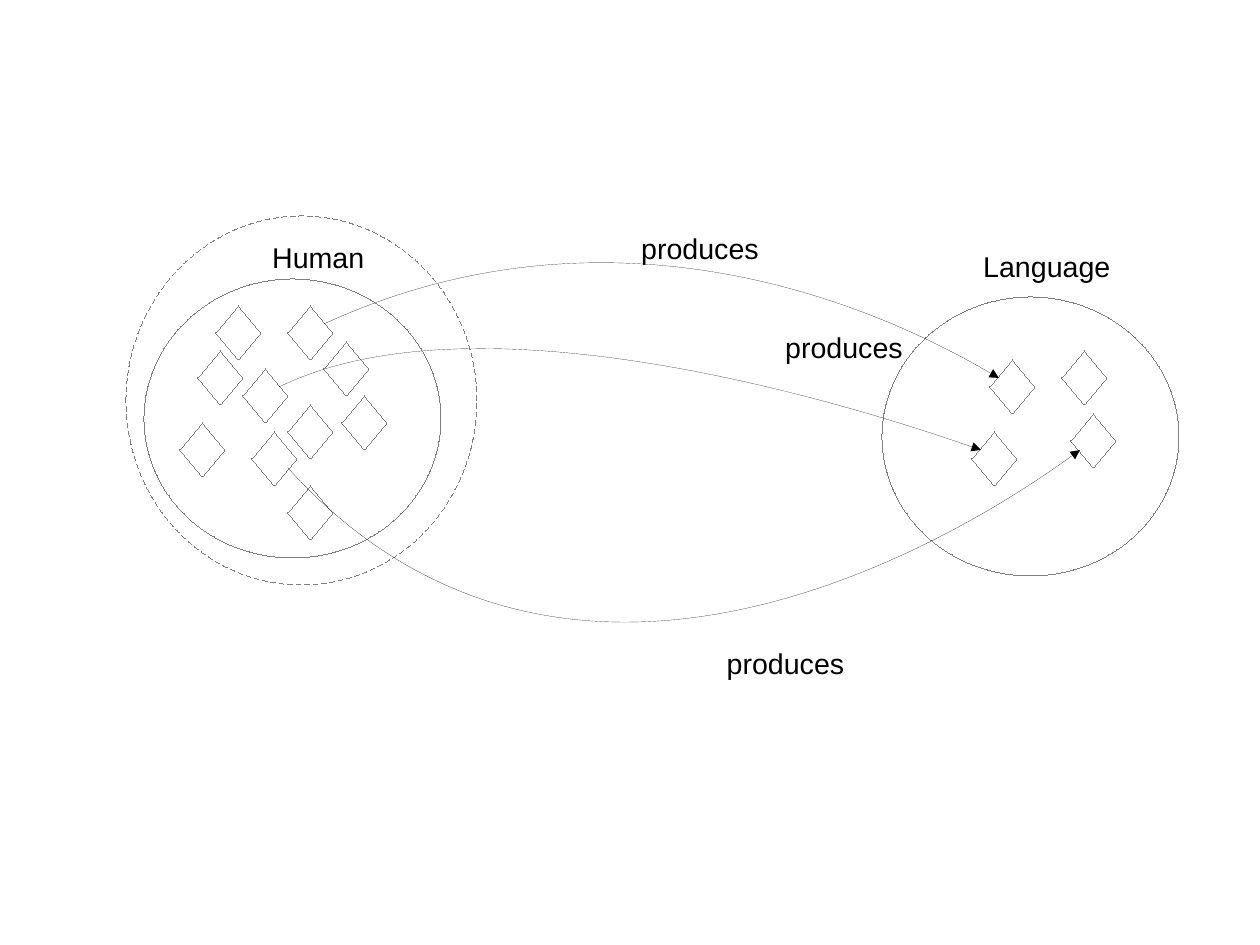
from lxml.etree import SubElement
from pptx import Presentation
from pptx.dml.color import RGBColor
from pptx.enum.dml import MSO_LINE
from pptx.enum.shapes import MSO_SHAPE
from pptx.enum.text import MSO_AUTO_SIZE
from pptx.oxml.ns import qn
from pptx.util import Mm, Pt

BLACK = RGBColor(0x00, 0x00, 0x00)
GRAY = RGBColor(0x80, 0x80, 0x80)
CELL = Mm(2)
COLUMNS, ROWS = 140, 105
DIAMOND_SIZE = (5, 6)
SET_SIZE = (33, 31)
LABEL_HEIGHT = 4.83

HUMAN_MEMBERS = [(22, 39), (32, 54), (24, 34), (38, 44), (20, 47),
                 (27, 41), (36, 38), (28, 48), (32, 45), (32, 34)]
LANGUAGE_MEMBERS = [(118, 39), (119, 46), (108, 48), (110, 40)]
LABELS = [("Human", 29, 26, 12.9), ("Language", 108, 27, 16.8),
          ("produces", 70, 25, 15.6), ("produces", 86, 36, 15.6),
          ("produces", 79.5, 71.15, 15.6)]
ARROWS = [((36, 36), (72.9, 19), (111, 42)),
          ((31, 43), (55.5, 31), (109, 50)),
          ((32, 52), (66.4, 90), (120, 50))]


def grid(*cells):
    return [round(cell * CELL) for cell in cells]


def style_outline(shape, color):
    shape.shadow.inherit = False
    shape.fill.background()
    shape.line.color.rgb = color
    shape.element.spPr.find(qn("a:ln")).set("w", "0")


def add_outline(slide, kind, position, size):
    shape = slide.shapes.add_shape(kind, *grid(*position, *size))
    style_outline(shape, GRAY)
    return shape


def add_label(slide, text, column, row, width):
    label = slide.shapes.add_textbox(*grid(column, row, width, LABEL_HEIGHT))
    label.text_frame.word_wrap = False
    label.text_frame.auto_size = MSO_AUTO_SIZE.SHAPE_TO_FIT_TEXT
    paragraph = label.text_frame.paragraphs[0]
    paragraph.text = text
    paragraph.font.name = "Arial"
    paragraph.font.size = Pt(18)
    paragraph.font.color.rgb = BLACK


def curve_point(start, control, end, share):
    rest = 1 - share
    return tuple(rest ** 3 * first + 3 * rest ** 2 * share * pull
                 + (3 * rest * share ** 2 + share ** 3) * last
                 for first, pull, last in zip(start, control, end))


def add_curved_arrow(slide, start, control, end):
    points = [curve_point(start, control, end, step / 100) for step in range(101)]
    apex = max(points, key=lambda point: abs(point[1] - start[1]))
    builder = slide.shapes.build_freeform(*grid(*start))
    builder.add_line_segments([grid(*apex), grid(*end)], close=False)
    arrow = builder.convert_to_shape()
    style_outline(arrow, BLACK)

    outline = next(arrow.element.iter(qn("a:path")))
    for segment in outline.findall(qn("a:lnTo")):
        outline.remove(segment)
    curve = SubElement(outline, qn("a:cubicBezTo"))
    for point in (control, end, end):
        x, y = grid(*point)
        SubElement(curve, qn("a:pt"), x=str(x - arrow.left), y=str(y - arrow.top))
    line = arrow.element.spPr.find(qn("a:ln"))
    SubElement(line, qn("a:tailEnd"), type="triangle")


def main():
    presentation = Presentation()
    presentation.slide_width, presentation.slide_height = grid(COLUMNS, ROWS)
    slide = presentation.slides.add_slide(presentation.slide_layouts[6])

    for position in HUMAN_MEMBERS + LANGUAGE_MEMBERS:
        add_outline(slide, MSO_SHAPE.DIAMOND, position, DIAMOND_SIZE)
    for position in ((16, 31), (98, 33)):
        add_outline(slide, MSO_SHAPE.OVAL, position, SET_SIZE)
    surrounding = add_outline(slide, MSO_SHAPE.OVAL, (14, 24), (39, 41))
    surrounding.line.dash_style = MSO_LINE.DASH
    for arrow in ARROWS:
        add_curved_arrow(slide, *arrow)
    for label in LABELS:
        add_label(slide, *label)

    presentation.save("out.pptx")


if __name__ == "__main__":
    main()
